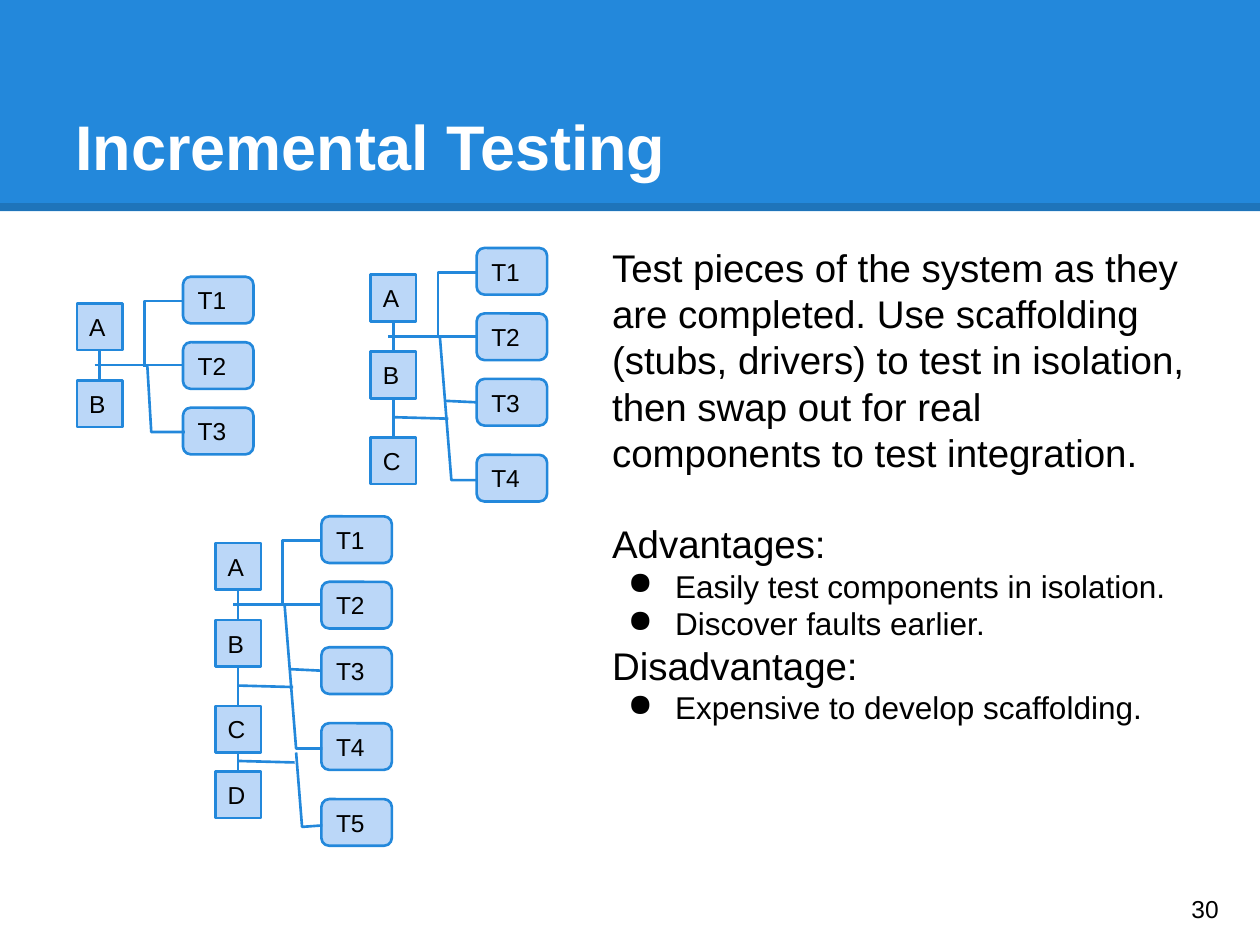
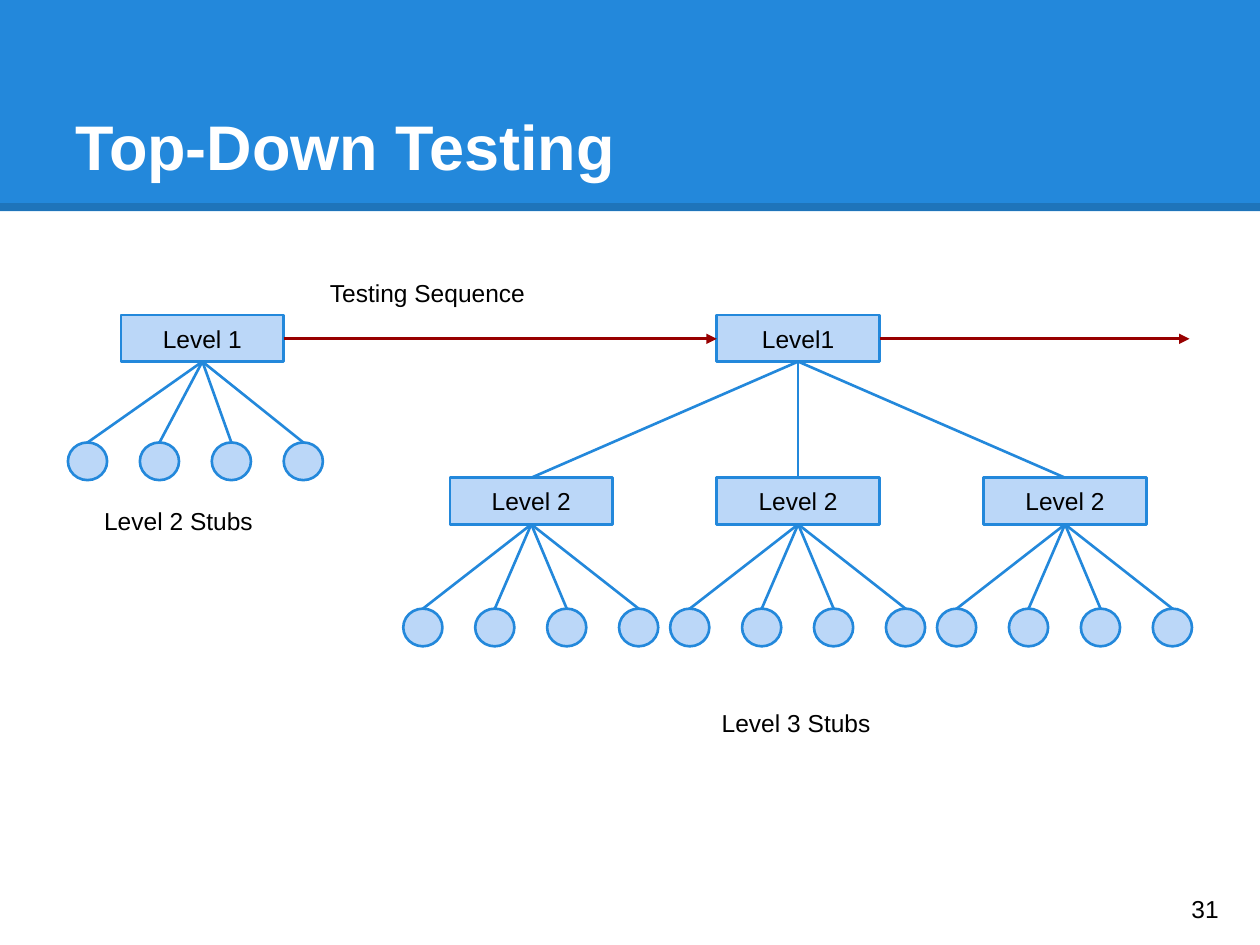
from dataclasses import dataclass
from pptx import Presentation
from pptx.dml.color import RGBColor
from pptx.enum.shapes import MSO_CONNECTOR, MSO_SHAPE
from pptx.enum.text import MSO_ANCHOR, PP_ALIGN
from pptx.oxml.ns import qn
from pptx.util import Cm, Pt
from lxml import etree

RECT, ROUND, OVAL = MSO_SHAPE.RECTANGLE, MSO_SHAPE.ROUNDED_RECTANGLE, MSO_SHAPE.OVAL
STRAIGHT = MSO_CONNECTOR.STRAIGHT
TOP, MIDDLE, BOTTOM = MSO_ANCHOR.TOP, MSO_ANCHOR.MIDDLE, MSO_ANCHOR.BOTTOM
LEFT, CENTER = PP_ALIGN.LEFT, PP_ALIGN.CENTER


@dataclass(frozen=True)
class Theme:
    blue: str = "2388DB"
    edge: str = "1E74BA"
    pale: str = "BBD7F8"
    red: str = "980000"
    ink: str = "000000"
    white: str = "FFFFFF"
    font: str = "Arial"
    head: int = 36
    body: int = 22
    item: int = 18
    label: int = 14
    thin: float = 1.5
    thick: float = 4.5


theme = Theme()


def box(slide, area, paras=(), kind=None, fill=theme.pale, line=theme.blue,
        anchor=MIDDLE, align=LEFT, size=theme.label, color=theme.ink, bold=False):
    """Add a text box, or a preset shape if kind is given; paras are
    strings or (text, size, bullet, space before) tuples."""
    spot = [Cm(v) for v in area]
    if kind is None:
        shape = slide.shapes.add_textbox(*spot)
    else:
        shape = slide.shapes.add_shape(kind, *spot)
        shape.shadow.inherit = False
        shape.fill.solid()
        shape.fill.fore_color.rgb = RGBColor.from_string(fill)
        if line:
            shape.line.color.rgb = RGBColor.from_string(line)
            shape.line.width = Pt(theme.thin)
        else:
            shape.line.fill.background()
    frame = shape.text_frame
    frame.word_wrap = True
    frame.vertical_anchor = anchor
    for side in ("left", "right", "top", "bottom"):
        setattr(frame, f"margin_{side}", Cm(0.25))
    for i, para in enumerate(paras):
        text, points, bullet, gap = (para, size, False, 0) if isinstance(para, str) else para
        p = frame.add_paragraph() if i else frame.paragraphs[0]
        p.text = text
        p.alignment = align
        if gap:
            p.space_before = Pt(gap)
        if bullet:
            props = p._p.get_or_add_pPr()
            props.set("marL", str(Cm(1.27)))
            props.set("indent", str(-Cm(0.95)))
            etree.SubElement(props, qn("a:buChar")).set("char", "●")
        style = {"name": theme.font, "size": Pt(points), "bold": bold}
        for key, value in style.items():
            setattr(p.runs[0].font, key, value)
        p.runs[0].font.color.rgb = RGBColor.from_string(color)
    return shape


def wire(slide, points, color=theme.blue, width=theme.thin, arrow=False):
    """Draw a connector through two points, or an open outline through more."""
    spots = [(Cm(x), Cm(y)) for x, y in points]
    if len(spots) == 2:
        line = slide.shapes.add_connector(STRAIGHT, *spots[0], *spots[1])
        etree.SubElement(line._element.spPr, qn("a:effectLst"))
    else:
        path = slide.shapes.build_freeform(*spots[0])
        path.add_line_segments(spots[1:], close=False)
        line = path.convert_to_shape()
        line.fill.background()
        line.shadow.inherit = False
    line.line.color.rgb = RGBColor.from_string(color)
    line.line.width = Pt(width)
    if arrow:
        etree.SubElement(line.line._get_or_add_ln(), qn("a:tailEnd")).set("type", "triangle")


deck = Presentation()
deck.slide_width, deck.slide_height = Cm(25.4), Cm(19.05)

# Band, title and page number of every slide
slides = []
for page, title in ((30, "Incremental Testing"), (31, "Top-Down Testing")):
    slide = deck.slides.add_slide(deck.slide_layouts[6])
    box(slide, (0, 0, 25.4, 4.26), kind=RECT, fill=theme.blue, line=None)
    wire(slide, [(0, 4.17), (25.4, 4.17)], theme.edge, theme.thick)
    box(slide, (1.27, 0.76, 22.86, 3.18), [title], anchor=BOTTOM,
        size=theme.head, color=theme.white, bold=True)
    box(slide, (23.77, 17.6, 1.52, 1.45), [str(page)])
    slides.append(slide)
steps, levels = slides

# Incremental testing: text
box(steps, (12.09, 4.67, 12.04, 12.67), [
    ("Test pieces of the system as they are completed. Use scaffolding (stubs, drivers) "
     "to test in isolation, then swap out for real components to test integration.",
     theme.body, False, 0),
    ("Advantages:", theme.body, False, 26),
    ("Easily test components in isolation.", theme.item, True, 0),
    ("Discover faults earlier.", theme.item, True, 0),
    ("Disadvantage:", theme.body, False, 0),
    ("Expensive to develop scaffolding.", theme.item, True, 0),
], anchor=TOP)

# Incremental testing: growing trees, measured from the corner of part A
part_w, test_w, high = 0.92, 1.42, 0.94
mid, test_x = part_w / 2, 2.14
part_tops = (0, 1.55, 3.28, 4.6)
test_tops = (-0.54, 0.78, 2.1, 3.63, 5.16)
trunk = [[(0.36, 1.24), (test_x, 1.24)],
         [(test_x, -0.05), (1.36, -0.05), (1.36, 1.27)]]
short = [[(2.18, 2.59), (1.5, 2.59), (1.42, 1.24)]]
long = [[(2.16, 4.14), (1.63, 4.14), (1.4, 1.27)],
        [(test_x, 2.57), (1.5, 2.54)],
        [(mid, 2.87), (1.57, 2.9)]]
last = [[(2.16, 5.69), (1.75, 5.72), (1.63, 4.22)],
        [(mid, 4.39), (1.6, 4.42)]]
trees = ((1.55, 6.12, "AB", trunk + short),
         (7.47, 5.54, "ABC", trunk + long),
         (4.34, 10.95, "ABCD", trunk + long + last))

for left, top, parts, wires in trees:
    for name, y in zip(parts, part_tops):
        box(steps, (left, top + y, part_w, high), [name], RECT)
    for i in range(len(parts) + 1):
        box(steps, (left + test_x, top + test_tops[i], test_w, high), [f"T{i + 1}"], ROUND)
    stems = [[(mid, part_tops[i] + high), (mid, part_tops[i + 1])]
             for i in range(len(parts) - 1)]
    for points in stems + wires:
        wire(steps, [(left + x, top + y) for x, y in points])

# Top-down testing: each level block with its fan of stubs
wide, pitch, stub_w, stub_h, stub_gap = 3.28, 5.38, 0.79, 0.76, 1.45
root_x, root_y, row_x, row_y = 14.45, 6.35, 9.07, 9.63
fans = [(2.44, root_y, "Level 1", 1.37, 8.92)]
fans += [(row_x + i * pitch, row_y, "Level 2", 8.13 + i * pitch, 12.27) for i in range(3)]

for left, top, name, first, stub_y in fans:
    box(levels, (left, top, wide, high), [name], RECT, align=CENTER)
    for i in range(4):
        stub_x = first + i * stub_gap
        box(levels, (stub_x, stub_y, stub_w, stub_h), kind=OVAL)
        wire(levels, [(left + wide / 2, top + high), (stub_x + stub_w / 2, stub_y)])

box(levels, (root_x, root_y, wide, high), ["Level1"], RECT, align=CENTER)
for i in range(3):
    wire(levels, [(root_x + wide / 2, root_y + high), (row_x + i * pitch + wide / 2, row_y)])

# Top-down testing: sequence arrows and captions
for start, end in ((5.72, root_x), (root_x + wide, 23.98)):
    wire(levels, [(start, 6.83), (end, 6.83)], theme.red, arrow=True)
for text, x, y, w in (("Testing Sequence", 6.4, 5.36, 6.2),
                      ("Level 2 Stubs", 1.85, 9.96, 4.17),
                      ("Level 3 Stubs", 14.3, 14.02, 4.17)):
    box(levels, (x, y, w, 1.17), [text], anchor=TOP)

deck.save("out.pptx")
